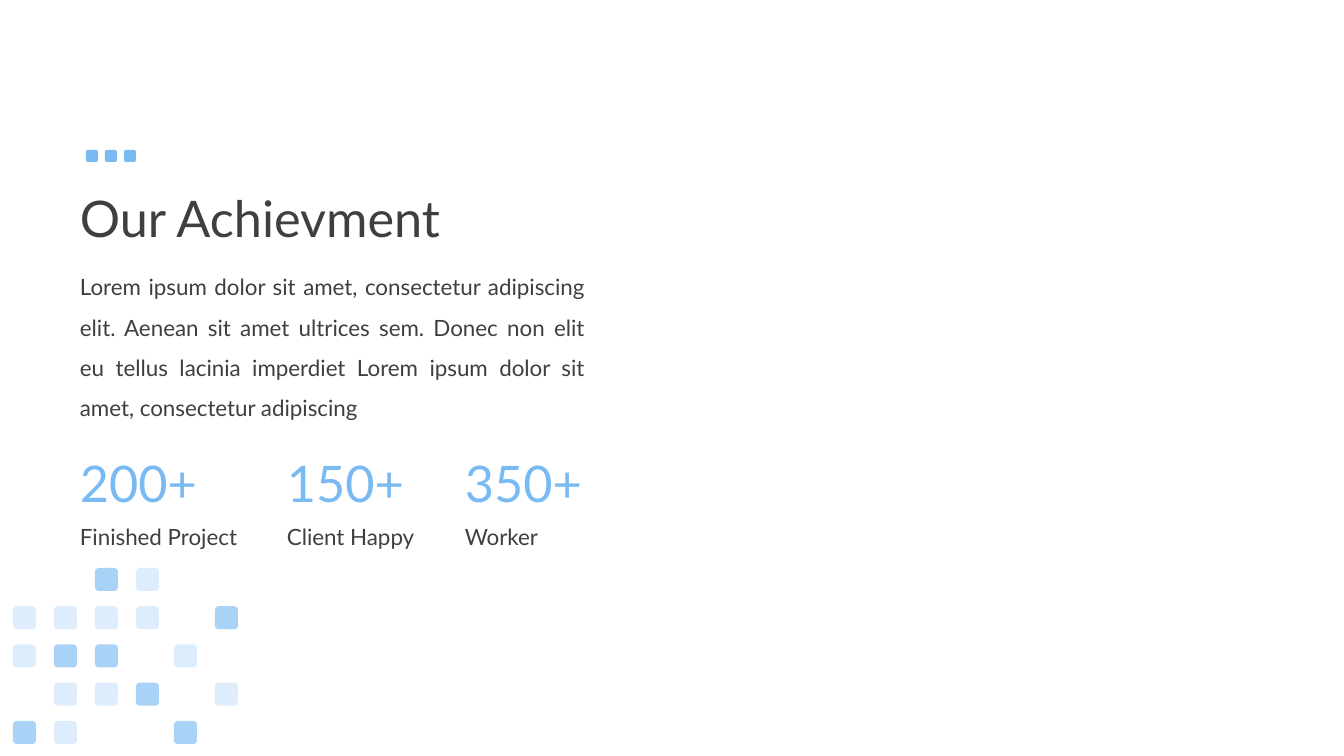
"""Build the achievement slide with its statistics and square mosaic."""
import pptx
import pptx.dml.color
import pptx.enum.shapes
import pptx.enum.text
import pptx.oxml
import pptx.oxml.ns
import pptx.util

TITLE = "Our Achievment"
BODY = (
    "Lorem ipsum dolor sit amet, consectetur adipiscing elit. Aenean sit amet "
    "ultrices sem. Donec non elit eu tellus lacinia imperdiet Lorem ipsum dolor "
    "sit amet, consectetur adipiscing"
)
STATISTICS = [
    (70, "200+", "Finished Project"),
    (277, "150+", "Client Happy"),
    (455, "350+", "Worker"),
]
MOSAIC = [
    "..Dl..",
    "llll.D",
    "lDD.l.",
    ".llD.l",
    "Dl..D.",
]
OPACITY = {"D": 65, "l": 25}
COLUMN_LEFTS = [13, 54, 95, 136, 174, 215]
MOSAIC_TOP, ROW_PITCH, TILE = 568, 38.25, 23
DOT_LEFT, DOT_TOP, DOT_PITCH, DOT, DOT_COUNT = 86, 150, 19, 12, 3

FONT, DARK, BLUE = "Lato", "3F3F3F", "7ABAF2"
EMU_PER_PX = 914400 / 100.8


def px(length):
    return pptx.util.Emu(round(length * EMU_PER_PX))


def colour(value):
    return pptx.dml.color.RGBColor.from_string(value)


def add_text(slide, box, text, size, ink=DARK, spacing=None, align=None, anchor=None):
    frame = slide.shapes.add_textbox(*map(px, box)).text_frame
    frame.word_wrap = True
    frame.vertical_anchor = anchor
    paragraph = frame.paragraphs[0]
    paragraph.text = text
    paragraph.alignment = align
    paragraph.line_spacing = spacing
    paragraph.font.name = FONT
    paragraph.font.size = pptx.util.Pt(size)
    paragraph.font.color.rgb = colour(ink)


def add_square(shapes, left, top, side, opacity=100):
    square = shapes.add_shape(
        pptx.enum.shapes.MSO_SHAPE.ROUNDED_RECTANGLE, px(left), px(top), px(side), px(side)
    )
    square.shadow.inherit = False
    square.line.fill.background()
    square.fill.solid()
    square.fill.fore_color.rgb = colour(BLUE)
    if opacity < 100:
        fill_colour = square.fill._xPr.find(".//" + pptx.oxml.ns.qn("a:srgbClr"))
        alpha = pptx.oxml.parse_xml(
            f'<a:alpha {pptx.oxml.ns.nsdecls("a")} val="{opacity * 1000}"/>'
        )
        fill_colour.append(alpha)


def main():
    deck = pptx.Presentation()
    deck.slide_width, deck.slide_height = px(1344), px(756)
    slide = deck.slides.add_slide(deck.slide_layouts[6])

    add_text(slide, (70, 148, 1159, 146), TITLE, 36, spacing=0.9,
             anchor=pptx.enum.text.MSO_ANCHOR.MIDDLE)
    for left, figure, label in STATISTICS:
        add_text(slide, (left, 447, 160, 71), figure, 36, ink=BLUE)
        add_text(slide, (left, 518, 237, 37), label, 16)
    add_text(slide, (70, 255, 525, 167), BODY, 16, spacing=1.5,
             align=pptx.enum.text.PP_ALIGN.JUSTIFY)

    mosaic = slide.shapes.add_group_shape()
    for row, tones in enumerate(MOSAIC):
        for left, tone in zip(COLUMN_LEFTS, tones):
            if tone in OPACITY:
                add_square(mosaic.shapes, left, MOSAIC_TOP + row * ROW_PITCH, TILE, OPACITY[tone])

    dots = slide.shapes.add_group_shape()
    for index in range(DOT_COUNT):
        add_square(dots.shapes, DOT_LEFT + index * DOT_PITCH, DOT_TOP, DOT)

    deck.save("out.pptx")


if __name__ == "__main__":
    main()
